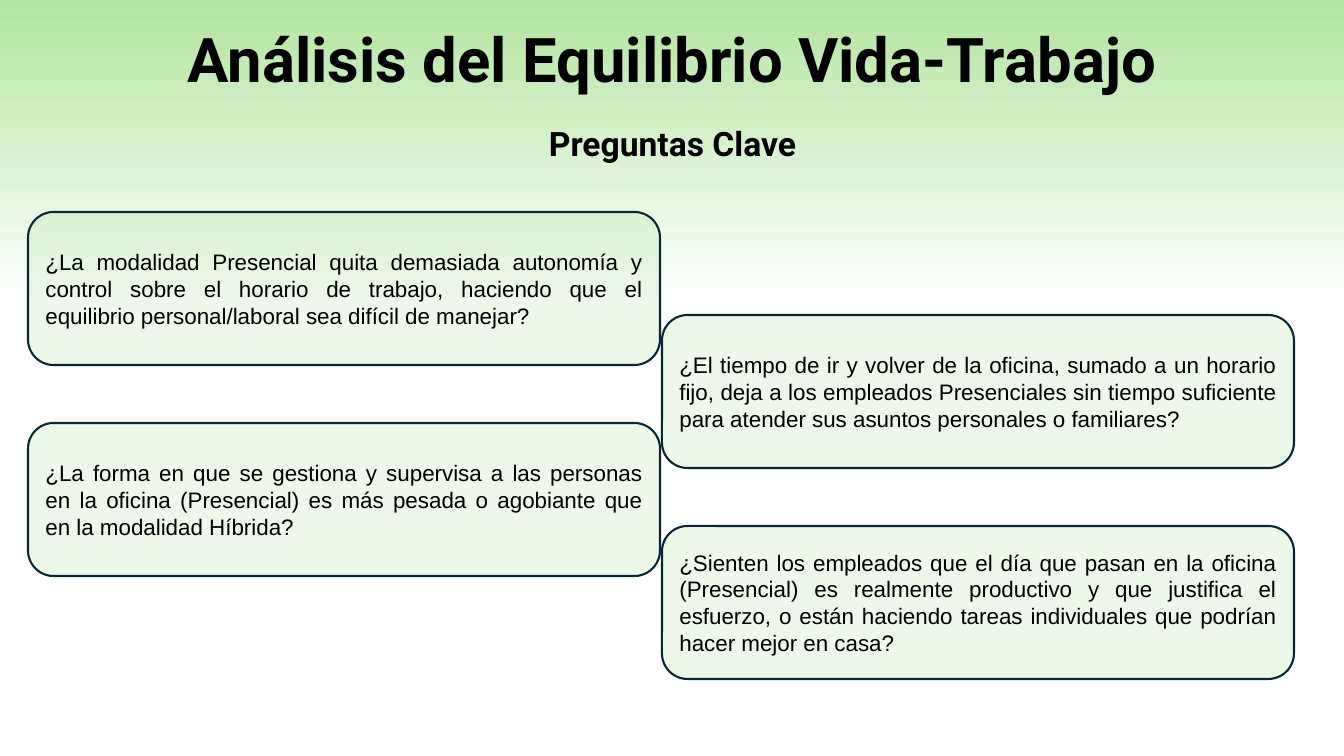
from lxml.etree import SubElement
from pptx import Presentation
from pptx.dml.color import RGBColor
from pptx.enum.shapes import MSO_SHAPE
from pptx.enum.text import MSO_ANCHOR, PP_ALIGN
from pptx.oxml.ns import qn
from pptx.util import Pt

HEADINGS = [
    ("Análisis del Equilibrio Vida-Trabajo", 9, 44),
    ("Preguntas Clave", 92, 24),
]
QUESTIONS = [
    "¿La modalidad Presencial quita demasiada autonomía y control sobre el horario de trabajo, "
    "haciendo que el equilibrio personal/laboral sea difícil de manejar?",
    "¿El tiempo de ir y volver de la oficina, sumado a un horario fijo, deja a los empleados "
    "Presenciales sin tiempo suficiente para atender sus asuntos personales o familiares?",
    "¿La forma en que se gestiona y supervisa a las personas en la oficina (Presencial) es más "
    "pesada o agobiante que en la modalidad Híbrida?",
    "¿Sienten los empleados que el día que pasan en la oficina (Presencial) es realmente productivo "
    "y que justifica el esfuerzo, o están haciendo tareas individuales que podrían hacer mejor en casa?",
]
BACKGROUND = [(0, "B3E5A0"), (0.4, "FFFFFF")]
BLACK, CARD_GREEN, CARD_EDGE = "000000", "8CD872", "082836"
CARD_OPACITY = 16000

SLIDE_W, SLIDE_H = 1344, 756
HEADING_X, HEADING_W, HEADING_H = 93, 1159, 108
CARD_X, CARD_Y, CARD_W, CARD_H = 28, 212, 632, 153
COLUMN_STEP, COLUMN_DROP, ROW_STEP = 634, 103, 211


def px(*lengths):
    return [round(length * 914400 / 100.8) for length in lengths]


def color(value):
    return RGBColor.from_string(value)


def write(shape, text, font_name, size, align, bold=False):
    frame = shape.text_frame
    frame.word_wrap = True
    frame.vertical_anchor = MSO_ANCHOR.MIDDLE
    paragraph = frame.paragraphs[0]
    paragraph.text = text
    paragraph.alignment = align
    paragraph.font.name = font_name
    paragraph.font.size = Pt(size)
    paragraph.font.bold = bold
    paragraph.font.color.rgb = color(BLACK)
    return paragraph


def add_heading(slide, text, top, size):
    heading = slide.shapes.add_textbox(*px(HEADING_X, top, HEADING_W, HEADING_H))
    write(heading, text, "Roboto", size, PP_ALIGN.CENTER, True).line_spacing = 0.9


def add_question(slide, index, text):
    row, column = divmod(index, 2)
    left = CARD_X + column * COLUMN_STEP
    top = CARD_Y + column * COLUMN_DROP + row * ROW_STEP
    card = slide.shapes.add_shape(
        MSO_SHAPE.ROUNDED_RECTANGLE, *px(left, top, CARD_W, CARD_H))
    card.shadow.inherit = False
    card.fill.solid()
    card.fill.fore_color.rgb = color(CARD_GREEN)
    green = card.fill._xPr.find(qn("a:solidFill")).find(qn("a:srgbClr"))
    SubElement(green, qn("a:alpha"), val=str(CARD_OPACITY))
    card.line.color.rgb = color(CARD_EDGE)
    card.line.width = Pt(1.5)
    write(card, text, "Arial", 16, PP_ALIGN.JUSTIFY)


def main():
    deck = Presentation()
    deck.slide_width, deck.slide_height = px(SLIDE_W, SLIDE_H)
    slide = deck.slides.add_slide(deck.slide_layouts[6])
    backdrop = slide.background.fill
    backdrop.gradient()
    backdrop.gradient_angle = 270
    for stop, (position, shade) in zip(backdrop.gradient_stops, BACKGROUND):
        stop.position = position
        stop.color.rgb = color(shade)
    for heading in HEADINGS:
        add_heading(slide, *heading)
    for index, question in enumerate(QUESTIONS):
        add_question(slide, index, question)
    deck.save("out.pptx")


if __name__ == "__main__":
    main()
